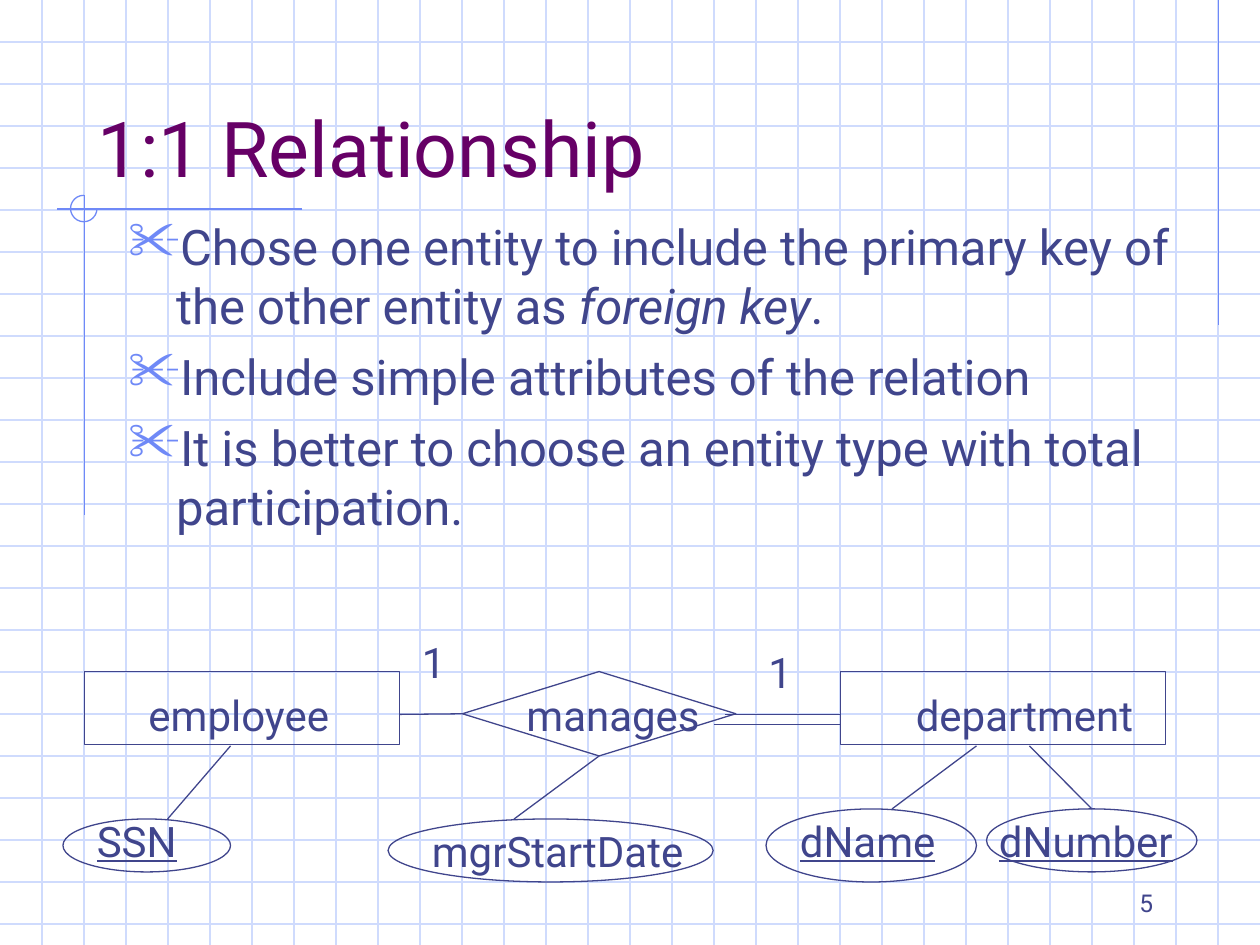
from typing import NamedTuple, Optional

from lxml.etree import SubElement
from pptx import Presentation
from pptx.dml.color import RGBColor
from pptx.enum.shapes import MSO_CONNECTOR, MSO_SHAPE as Preset
from pptx.enum.text import MSO_ANCHOR as Anchor, MSO_AUTO_SIZE, PP_ALIGN as Align
from pptx.oxml.ns import qn
from pptx.util import Inches, Pt

FONT = "Roboto"
INK, ACCENT, GRID, PLUM = "40458C", "6F89F7", "CFDBFD", "660066"
WIDTH, HEIGHT, GRID_STEP = 10, 7.5, 1 / 3
TOP, LEFT, BOTTOM = 0, 1, 2


class Node(NamedTuple):
    """An outline of the diagram."""
    name: str
    preset: Preset
    box: tuple


class Label(NamedTuple):
    text: str
    box: tuple
    underline: bool = False


class Link(NamedTuple):
    """A line, optionally glued to a (node name, side) at either end."""
    start: tuple
    end: tuple
    start_joint: Optional[tuple] = None
    end_joint: Optional[tuple] = None


NODES = [
    Node("employee", Preset.RECTANGLE, (0.67, 5.33, 2.5, 0.58)),
    Node("department", Preset.RECTANGLE, (6.67, 5.33, 2.58, 0.58)),
    Node("manages", Preset.DIAMOND, (3.67, 5.33, 2.17, 0.67)),
    Node("dNumber", Preset.OVAL, (7.83, 6.42, 1.67, 0.5)),
    Node("dName", Preset.OVAL, (6.08, 6.42, 1.67, 0.58)),
    Node("mgrStartDate", Preset.OVAL, (3.08, 6.5, 2.58, 0.5)),
    Node("SSN", Preset.OVAL, (0.5, 6.5, 1.33, 0.42)),
]
LABELS = [
    Label("employee", (1.08, 5.42, 1.75, 0.5)),
    Label("department", (7.17, 5.42, 2, 0.9)),
    Label("1", (3.25, 5, 0.33, 0.5)),
    Label("1", (6, 5.08, 0.33, 0.5)),
    Label("manages", (4.08, 5.42, 1.58, 0.9)),
    Label("dNumber", (7.83, 6.42, 1.58, 0.9), True),
    Label("dName", (6.25, 6.42, 1.33, 0.9), True),
    Label("mgrStartDate", (3.33, 6.5, 2.33, 0.9)),
    Label("SSN", (0.67, 6.42, 1, 0.5), True),
]
LINKS = [
    Link((3.17, 5.67), (3.67, 5.67), end_joint=("manages", LEFT)),
    Link((5.75, 5.67), (6.67, 5.67)),
    Link((5.67, 5.75), (6.67, 5.75)),
    Link((7.75, 5.92), (7.08, 6.42)),
    Link((8.17, 5.92), (8.67, 6.42), end_joint=("dNumber", TOP)),
    Link((4.75, 6), (4.08, 6.5), start_joint=("manages", BOTTOM)),
    Link((1.83, 5.92), (1.33, 6.5)),
]
FRAME_LINES = [
    Link((9.67, 0), (9.67, 2.58)),
    Link((2.4, 1.66), (0.45, 1.66)),
    Link((0.67, 1.55), (0.67, 4.09)),
]
BULLETS = [
    [("Chose one entity to include the primary key of the other entity as ", False),
     ("foreign key", True), (".", False)],
    [("Include simple attributes of the relation", False)],
    [("It is better to choose an entity type with total participation.", False)],
]


def rgb(value: str) -> RGBColor:
    return RGBColor.from_string(value)


def inches(values: tuple) -> list:
    return [Inches(value) for value in values]


def set_line(shape, color: str) -> None:
    shape.line.color.rgb = rgb(color)
    shape.line.width = Pt(0.75)


def add_line(page, link: Link, color: str):
    line = page.shapes.add_connector(
        MSO_CONNECTOR.STRAIGHT, *inches(link.start + link.end))
    set_line(line, color)
    SubElement(line._element.spPr, qn("a:effectLst"))
    return line


def add_outline(page, preset: Preset, box: tuple, color: str):
    shape = page.shapes.add_shape(preset, *inches(box))
    shape.shadow.inherit = False
    shape.fill.background()
    set_line(shape, color)
    return shape


def add_span(para, text: str, size: float, color: str = INK, **formats) -> None:
    span = para.add_run()
    span.text = text
    span.font.color.rgb = rgb(color)
    for name, value in {"name": FONT, "size": Pt(size), **formats}.items():
        setattr(span.font, name, value)


def set_frame(shape, anchor: Anchor = Anchor.TOP):
    """Make the text wrap in a fixed frame and return the frame."""
    frame = shape.text_frame
    formats = {"word_wrap": True, "auto_size": MSO_AUTO_SIZE.NONE,
               "vertical_anchor": anchor}
    for name, value in formats.items():
        setattr(frame, name, value)
    return frame


def add_box(page, box: tuple, anchor: Anchor = Anchor.TOP):
    return set_frame(page.shapes.add_textbox(*inches(box)), anchor)


def set_bullet(para) -> None:
    """Give the paragraph a hanging scissors bullet."""
    properties = para._p.get_or_add_pPr()
    properties.set("marL", str(Inches(0.38)))
    properties.set("indent", str(Inches(-0.38)))
    color = SubElement(properties, qn("a:buClr"))
    SubElement(color, qn("a:srgbClr"), val=ACCENT)
    SubElement(properties, qn("a:buSzPct"), val="110000")
    SubElement(properties, qn("a:buChar"), char="✂")


def draw_background(page) -> None:
    for row in range(1, int(HEIGHT / GRID_STEP) + 1):
        y = row * GRID_STEP
        add_line(page, Link((0, y), (WIDTH, y)), GRID)
    for column in range(1, round(WIDTH / GRID_STEP)):
        x = column * GRID_STEP
        add_line(page, Link((x, 0), (x, HEIGHT)), GRID)
    for link in FRAME_LINES:
        add_line(page, link, ACCENT)
    ring = add_outline(page, Preset.ARC, (0.56, 1.55, 0.21, 0.21), ACCENT)
    ring.adjustments[0], ring.adjustments[1] = 0, 162


def draw_title(page) -> None:
    title = page.shapes.title
    title.left, title.top, title.width, title.height = inches((0.67, 0.33, 8.5, 1.25))
    para = set_frame(title, Anchor.BOTTOM).paragraphs[0]
    para.alignment = Align.LEFT
    add_span(para, "1:1 Relationship", 44, PLUM)
    title._element.getparent().append(title._element)  # in front of the grid


def draw_bullets(page) -> None:
    frame = add_box(page, (0.92, 1.67, 8.5, 3.33))
    for index, spans in enumerate(BULLETS):
        para = frame.add_paragraph() if index else frame.paragraphs[0]
        para.space_before = Pt(7)
        set_bullet(para)
        for text, italic in spans:
            add_span(para, text, 28, italic=italic)


def draw_diagram(page) -> None:
    shapes = {node.name: add_outline(page, node.preset, node.box, INK) for node in NODES}
    for link in LINKS:
        line = add_line(page, link, INK)
        if link.start_joint:
            name, side = link.start_joint
            line.begin_connect(shapes[name], side)
        if link.end_joint:
            name, side = link.end_joint
            line.end_connect(shapes[name], side)
    for label in LABELS:
        para = add_box(page, label.box).paragraphs[0]
        para.space_before = Pt(15)
        add_span(para, label.text, 24, underline=label.underline)


def main() -> None:
    deck = Presentation()
    deck.slide_width, deck.slide_height = inches((WIDTH, HEIGHT))
    page = deck.slides.add_slide(deck.slide_layouts[5])
    draw_background(page)
    number = add_box(page, (7.17, 6.83, 2.08, 0.5), Anchor.BOTTOM).paragraphs[0]
    number.alignment = Align.RIGHT
    add_span(number, "5", 14)
    draw_title(page)
    draw_bullets(page)
    draw_diagram(page)
    deck.save("out.pptx")


if __name__ == "__main__":
    main()
